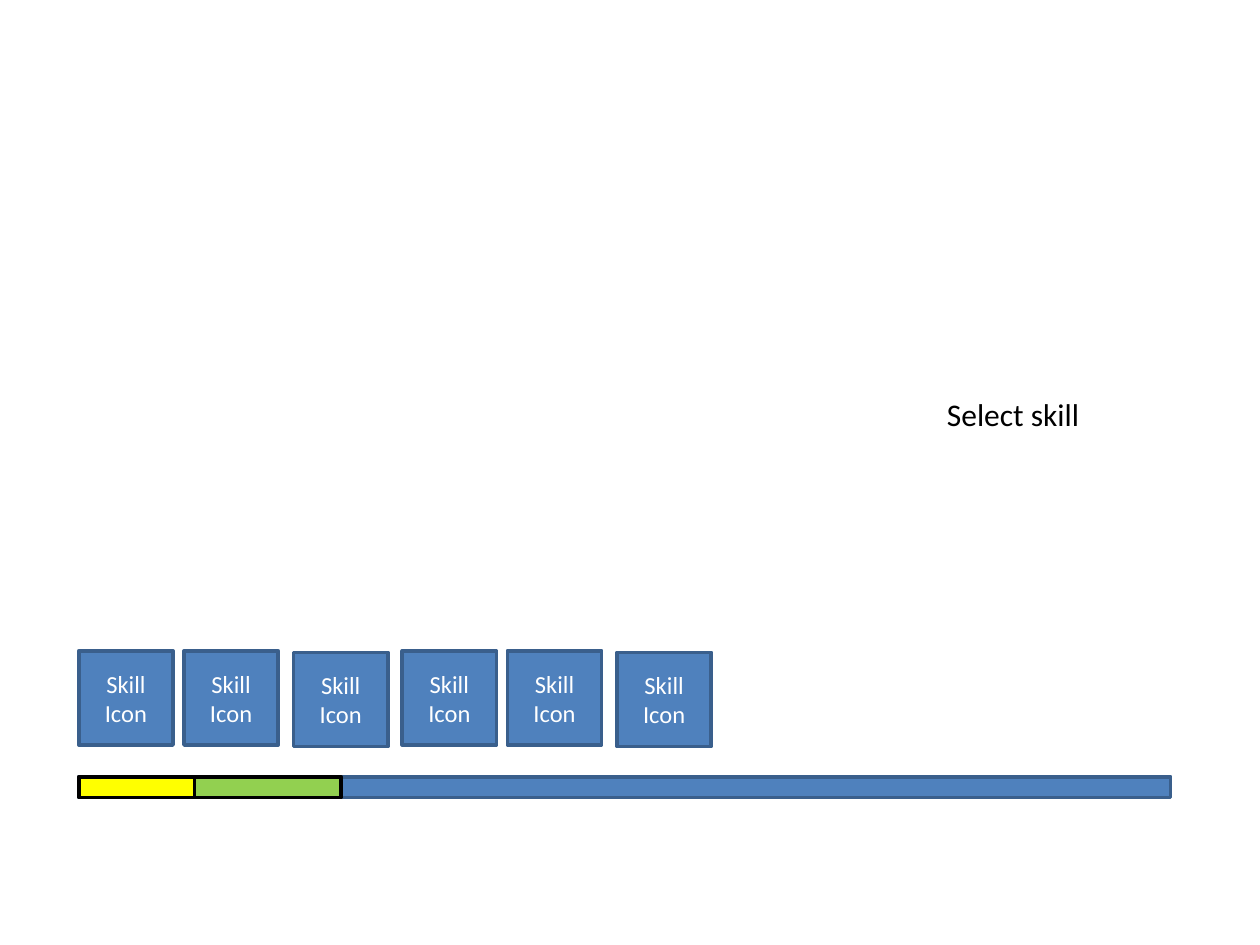
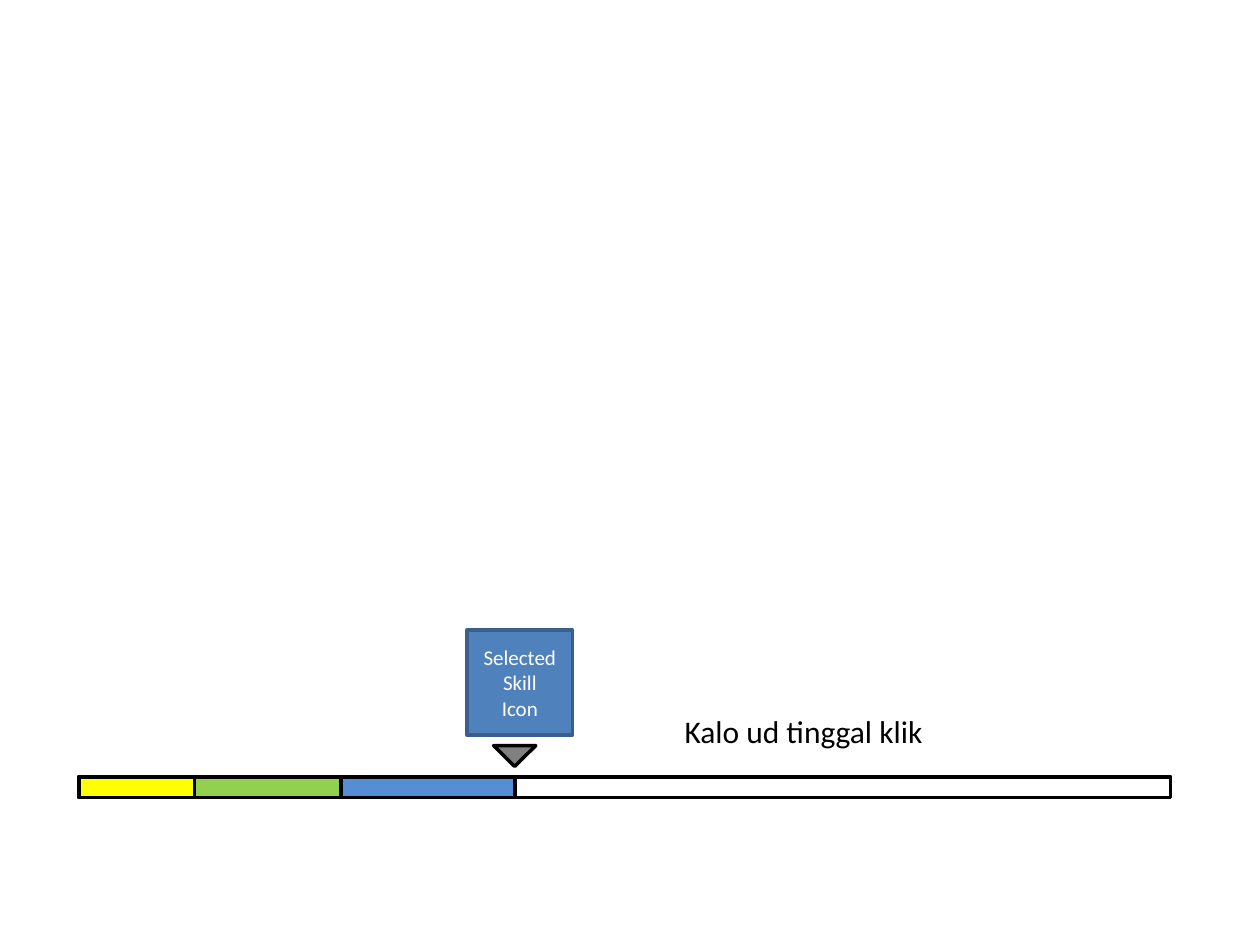
import pptx
import pptx.dml.color
import pptx.enum.shapes
import pptx.enum.text
import pptx.util

Cm = pptx.util.Cm
Shape = pptx.enum.shapes.MSO_SHAPE
COLORS = {
    "blue": "4F81BD", "blue edge": "3A5F8C", "light blue": "558ED5",
    "yellow": "FFFF00", "green": "92D050", "gray": "808080",
    "black": "000000", "white": "FFFFFF",
}
FONT = "Calibri"

# Shared gauge bar, in centimetres
BAR_LEFT, BAR_TOP, BAR_WIDTH, BAR_HEIGHT = 1.59, 15.66, 22.01, 0.42
YELLOW_WIDTH, GREEN_WIDTH, BLUE_WIDTH = 2.33, 2.96, 3.5


def rgb(name):
    return pptx.dml.color.RGBColor.from_string(COLORS[name])


def add_item(page, text, left, top, width, height, shape=Shape.RECTANGLE,
             fill=None, line="black", size=18, color="black"):
    """Add a filled shape, or a plain one-line text box when fill is None."""
    area = Cm(left), Cm(top), Cm(width), Cm(height)
    if fill:
        box = page.shapes.add_shape(shape, *area)
        box.shadow.inherit = False
        box.fill.solid()
        box.fill.fore_color.rgb = rgb(fill)
        box.line.color.rgb = rgb(line)
        box.line.width = pptx.util.Pt(2)
    else:
        box = page.shapes.add_textbox(*area)
    frame = box.text_frame
    frame.word_wrap = bool(fill)
    if not fill:
        frame.auto_size = pptx.enum.text.MSO_AUTO_SIZE.SHAPE_TO_FIT_TEXT
    if text:
        frame.text = text
        for para in frame.paragraphs:
            if fill:
                para.alignment = pptx.enum.text.PP_ALIGN.CENTER
            para.font.name = FONT
            para.font.size = pptx.util.Pt(size)
            para.font.color.rgb = rgb(color)
    return box


deck = pptx.Presentation()
deck.slide_width, deck.slide_height = Cm(25.4), Cm(19.05)
blank = deck.slide_layouts[6]
select_page, click_page = [deck.slides.add_slide(blank) for _ in range(2)]

# Gauge: full bar with its segments laid end to end
first_segments = [("yellow", YELLOW_WIDTH), ("green", GREEN_WIDTH)]
gauges = [
    (select_page, "blue", "blue edge", first_segments),
    (click_page, "white", "black", first_segments + [("light blue", BLUE_WIDTH)]),
]
for page, fill, line, segments in gauges:
    add_item(page, "", BAR_LEFT, BAR_TOP, BAR_WIDTH, BAR_HEIGHT, fill=fill, line=line)
    left = BAR_LEFT
    for segment_fill, width in segments:
        add_item(page, "", left, BAR_TOP, width, BAR_HEIGHT, fill=segment_fill)
        left += width

# Slide 1: prompt and two groups of three skill icons
add_item(select_page, "Select skill", 18.84, 7.83, 3.2, 1.03)
for group in range(2):
    for offset, drop in [(0, 0), (2.12, 0), (4.33, 0.03)]:
        add_item(select_page, "Skill\nIcon", BAR_LEFT + 6.52 * group + offset,
                 13.12 + drop, 1.9, 1.9, fill="blue", line="blue edge",
                 size=14, color="white")

# Slide 2: prompt, selected icon and the marker above the end of the blue segment
add_item(click_page, "Kalo ud tinggal klik", 13.55, 14.22, 5.36, 1.03)
add_item(click_page, "Selected Skill\nIcon", 9.42, 12.7, 2.12, 2.12, fill="blue",
         line="blue edge", size=12, color="white")
marker = add_item(click_page, "", 9.95, 15.03, 0.85, 0.42,
                  shape=Shape.ISOSCELES_TRIANGLE, fill="gray")
marker.rotation = 180

deck.save("out.pptx")
